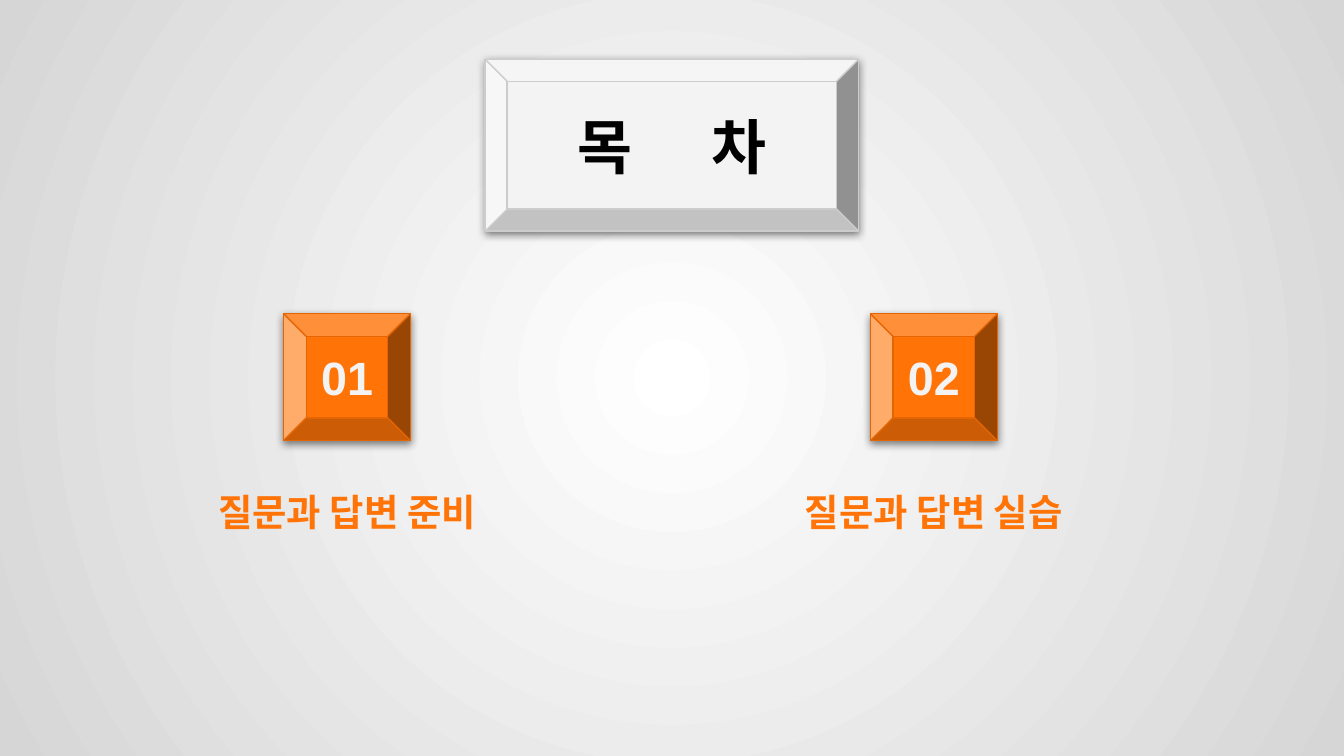
import pptx
import pptx.util
import pptx.dml.color
import pptx.enum.shapes
import pptx.enum.text
import pptx.oxml
import pptx.oxml.ns

Cm = pptx.util.Cm
Pt = pptx.util.Pt

TITLE = "목 \t차"
CHAPTERS = [
    ("01", "질문과 답변 준비", 6.56),
    ("02", "질문과 답변 실습", 17.65),
]
COLORS = {
    "white": "FFFFFF",
    "edge": "D6D6D6",
    "panel": "F3F3F3",
    "panel_line": "CCCCCC",
    "orange": "FF7307",
    "orange_line": "E46503",
    "black": "000000",
}
FONT = "Arial"
SLIDE_WIDTH, SLIDE_HEIGHT = 25.4, 14.29
TITLE_TOP, TITLE_WIDTH, TITLE_HEIGHT = 1.12, 7.06, 3.25
BADGE_TOP, BADGE_SIZE = 5.93, 2.4
NUMBER_WIDTH, NUMBER_HEIGHT = 3.53, 1.35
LABEL_TOP, LABEL_WIDTH, LABEL_HEIGHT = 8.99, 6.07, 1.37
NAMESPACES = pptx.oxml.ns.nsdecls("a", "p")

presentation = pptx.Presentation()
presentation.slide_width = Cm(SLIDE_WIDTH)
presentation.slide_height = Cm(SLIDE_HEIGHT)
slide = presentation.slides.add_slide(presentation.slide_layouts[6])


def rgb(name):
    return pptx.dml.color.RGBColor.from_string(COLORS[name])


def add_background():
    background = pptx.oxml.parse_xml(
        f'<p:bg {NAMESPACES}><p:bgPr><a:gradFill rotWithShape="1"><a:gsLst>'
        f'<a:gs pos="0"><a:srgbClr val="{COLORS["white"]}"/></a:gs>'
        f'<a:gs pos="100000"><a:srgbClr val="{COLORS["edge"]}"/></a:gs>'
        '</a:gsLst><a:path path="circle">'
        '<a:fillToRect l="50000" t="50000" r="50000" b="50000"/></a:path>'
        '</a:gradFill><a:effectLst/></p:bgPr></p:bg>'
    )
    slide.element.cSld.insert(0, background)


def add_bevel(center, top, width, height, depth, fill, line):
    shape = slide.shapes.add_shape(
        pptx.enum.shapes.MSO_SHAPE.BEVEL,
        Cm(center - width / 2), Cm(top), Cm(width), Cm(height),
    )
    shape.adjustments[0] = depth
    shape.fill.solid()
    shape.fill.fore_color.rgb = rgb(fill)
    shape.line.color.rgb = rgb(line)
    shape.line.width = Pt(0.75)
    shape.element.spPr.append(pptx.oxml.parse_xml(
        f'<a:effectLst {NAMESPACES}>'
        f'<a:outerShdw blurRad="{Pt(4.5)}" dist="{Pt(1.5)}" dir="5400000" '
        f'algn="bl" rotWithShape="0"><a:srgbClr val="{COLORS["black"]}">'
        '<a:alpha val="50000"/></a:srgbClr></a:outerShdw></a:effectLst>'
    ))
    return shape


def add_box(center, top, width, height):
    return slide.shapes.add_textbox(
        Cm(center - width / 2), Cm(top), Cm(width), Cm(height)
    )


def write(shape, text, size, color, bold=True):
    frame = shape.text_frame
    frame.word_wrap = True
    frame.vertical_anchor = pptx.enum.text.MSO_ANCHOR.MIDDLE
    frame.margin_left = frame.margin_right = Cm(0.25)
    frame.margin_top = frame.margin_bottom = Cm(0.25)
    paragraph = frame.paragraphs[0]
    paragraph.alignment = pptx.enum.text.PP_ALIGN.CENTER
    run = paragraph.add_run()
    run.text = text
    run.font.name = FONT
    run.font.size = Pt(size)
    run.font.bold = bold
    run.font.color.rgb = rgb(color)


add_background()
title = add_bevel(SLIDE_WIDTH / 2, TITLE_TOP, TITLE_WIDTH, TITLE_HEIGHT,
                  0.128, "panel", "panel_line")
write(title, TITLE, size=32, color="black")

for number, label, center in CHAPTERS:
    add_bevel(center, BADGE_TOP, BADGE_SIZE, BADGE_SIZE,
              0.179, "orange", "orange_line")
    label_box = add_box(center, LABEL_TOP, LABEL_WIDTH, LABEL_HEIGHT)
    write(label_box, label, size=20, color="orange")
    number_top = BADGE_TOP + (BADGE_SIZE - NUMBER_HEIGHT) / 2
    number_box = add_box(center, number_top, NUMBER_WIDTH, NUMBER_HEIGHT)
    write(number_box, number, size=25, color="panel")

presentation.save("out.pptx")
